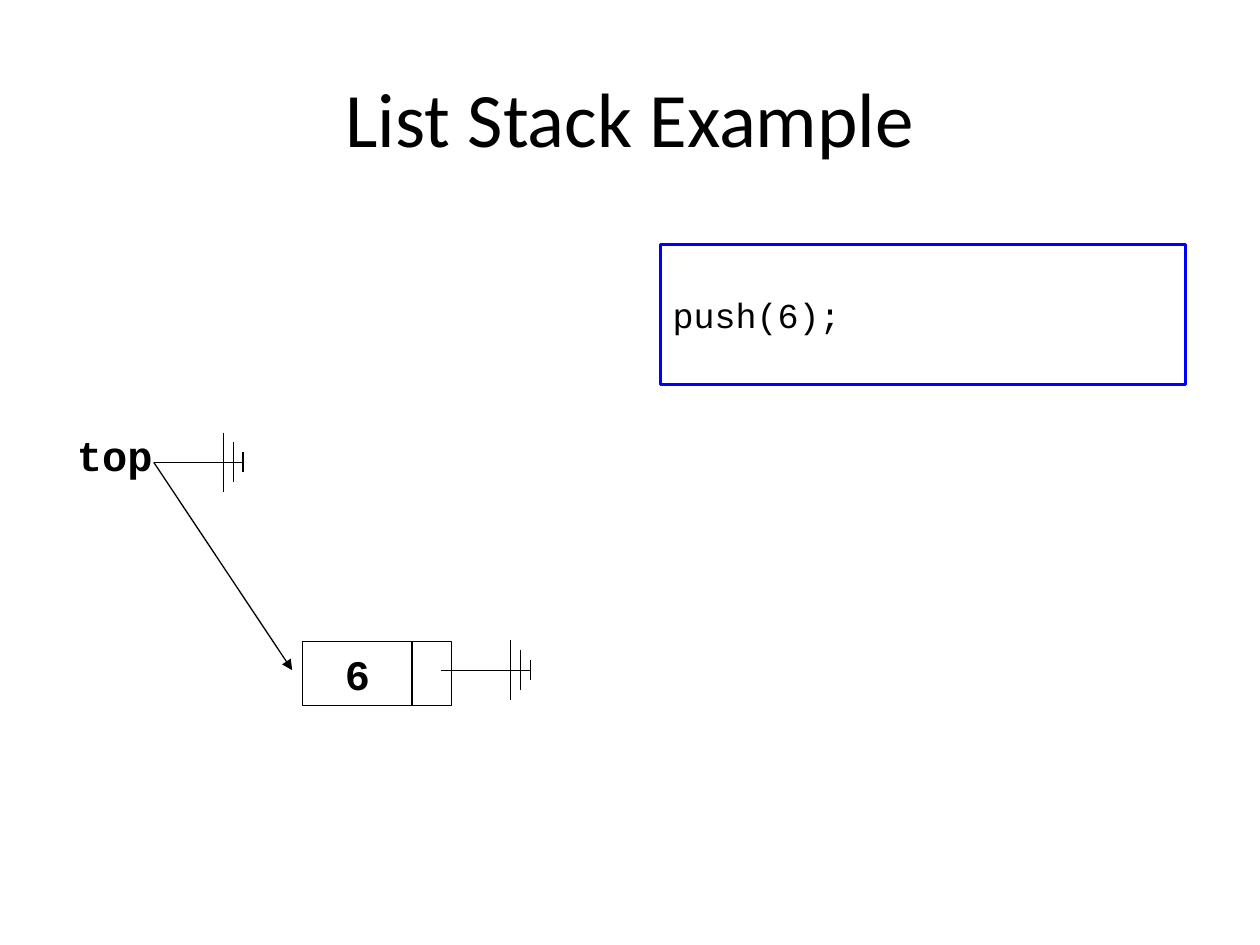
from dataclasses import dataclass

from lxml.etree import SubElement
from pptx import Presentation
from pptx.dml.color import RGBColor
from pptx.enum.shapes import MSO_CONNECTOR as Line, MSO_SHAPE as Preset
from pptx.enum.text import MSO_ANCHOR as Anchor, PP_ALIGN as Align
from pptx.oxml.ns import qn
from pptx.util import Cm, Pt

COLORS = {"ink": "000000", "paper": "FFFFFF", "frame": "0000FF"}
MONO = "Courier New"
THIN = 0.75


@dataclass
class Point:
    x: float
    y: float


@dataclass
class Box:
    left: float
    top: float
    width: float
    height: float

    def lengths(self) -> tuple:
        return Cm(self.left), Cm(self.top), Cm(self.width), Cm(self.height)


def color(name: str) -> RGBColor:
    return RGBColor.from_string(COLORS[name])


def write(shape, text: str, size: float, font: str = MONO,
          bold: bool = False, align=Align.LEFT) -> None:
    shape.text_frame.text = text
    paragraph = shape.text_frame.paragraphs[0]
    paragraph.alignment = align
    for run in paragraph.runs:
        run.font.name = font
        run.font.size = Pt(size)
        run.font.bold = bold
        run.font.color.rgb = color("ink")


def draw_rect(shapes, box: Box, line: str = "ink", weight: float = THIN,
              fill: str = ""):
    rect = shapes.add_shape(Preset.RECTANGLE, *box.lengths())
    rect.shadow.inherit = False
    if fill:
        rect.fill.solid()
        rect.fill.fore_color.rgb = color(fill)
    else:
        rect.fill.background()
    rect.line.color.rgb = color(line)
    rect.line.width = Pt(weight)
    return rect


def draw_line(shapes, start: Point, end: Point, arrow: bool = False) -> None:
    connector = shapes.add_connector(
        Line.STRAIGHT, Cm(start.x), Cm(start.y), Cm(end.x), Cm(end.y))
    connector.line.color.rgb = color("ink")
    connector.line.width = Pt(THIN)
    if arrow:
        outline = connector.line._get_or_add_ln()
        SubElement(outline, qn("a:tailEnd"), type="triangle")
    SubElement(connector._element.spPr, qn("a:effectLst"))


def draw_null(shapes, start: Point) -> None:
    group = shapes.add_group_shape().shapes
    draw_line(group, start, Point(start.x + 1.8, start.y))
    for offset, half in ((1.4, 0.6), (1.6, 0.4), (1.8, 0.2)):
        x = start.x + offset
        draw_line(group, Point(x, start.y - half), Point(x, start.y + half))


def draw_node(shapes, value: str, box: Box, link_width: float) -> None:
    group = shapes.add_group_shape().shapes
    write(draw_rect(group, box), value, 24, bold=True, align=Align.CENTER)
    draw_rect(group, Box(box.left + box.width, box.top, link_width, box.height))


def main() -> None:
    deck = Presentation()
    deck.slide_width, deck.slide_height = Cm(25.4), Cm(19.05)
    slide = deck.slides.add_slide(deck.slide_layouts[5])
    shapes = slide.shapes

    title = shapes.title
    title.left, title.top, title.width, title.height = Box(
        1.27, 0.76, 22.86, 3.18).lengths()
    title.text_frame.vertical_anchor = Anchor.MIDDLE
    write(title, "List Stack Example", 44, "Calibri", align=Align.CENTER)

    top_label = shapes.add_textbox(*Box(1.3, 8.53, 2.11, 1.27).lengths())
    top_label.text_frame.word_wrap = True
    write(top_label, "top", 24, bold=True)

    top_pointer = Point(3.1, 9.32)
    node_link = Point(8.89, 13.51)
    draw_node(shapes, "6", Box(6.1, 12.93, 2.21, 1.3), 0.79)
    draw_line(shapes, top_pointer, Point(5.89, node_link.y), arrow=True)
    for null_start in (node_link, top_pointer):
        draw_null(shapes, null_start)

    code = draw_rect(shapes, Box(13.31, 4.93, 10.59, 2.82), "frame", 1.5, "paper")
    write(code, "push(6);", 20)

    deck.save("out.pptx")


if __name__ == "__main__":
    main()
